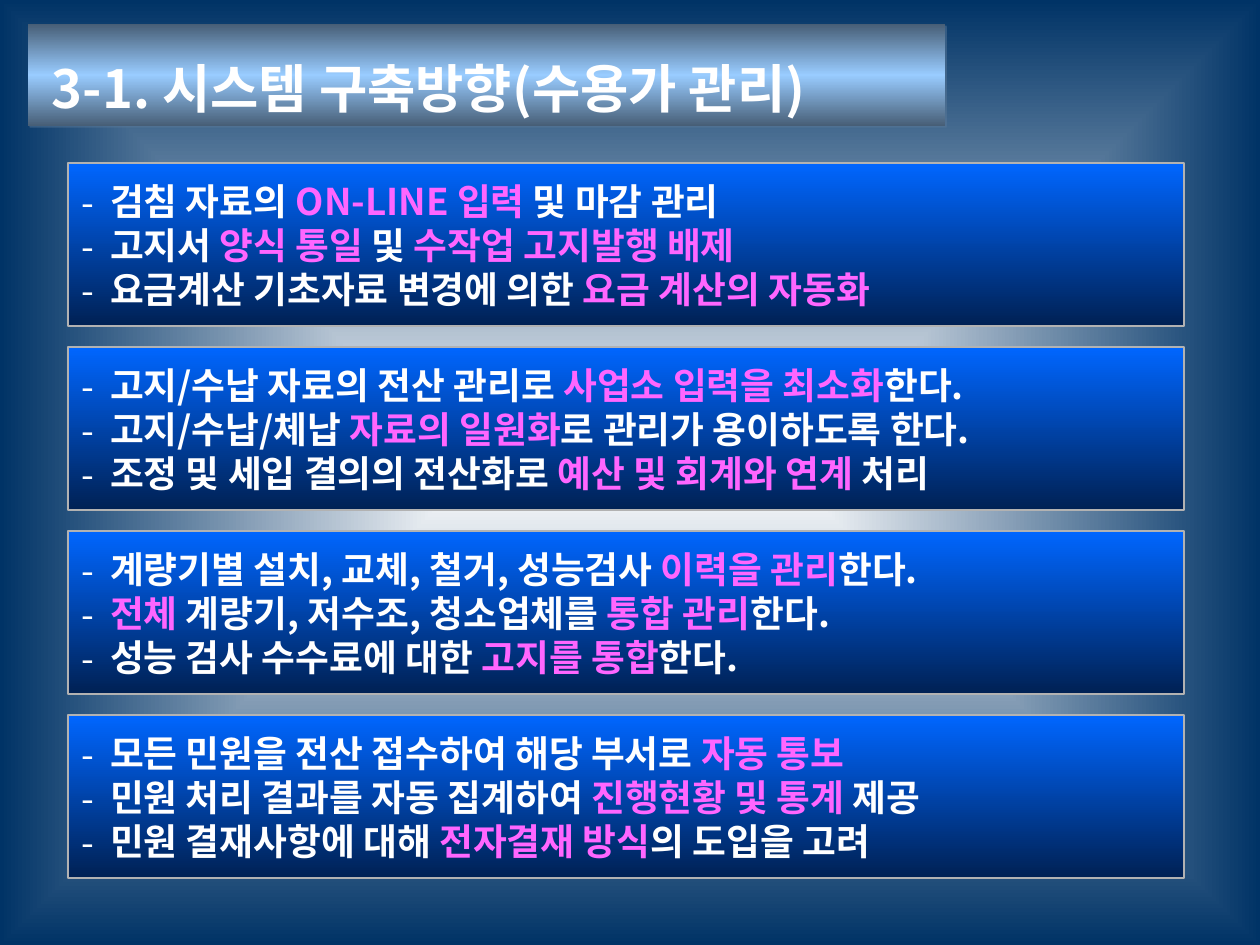
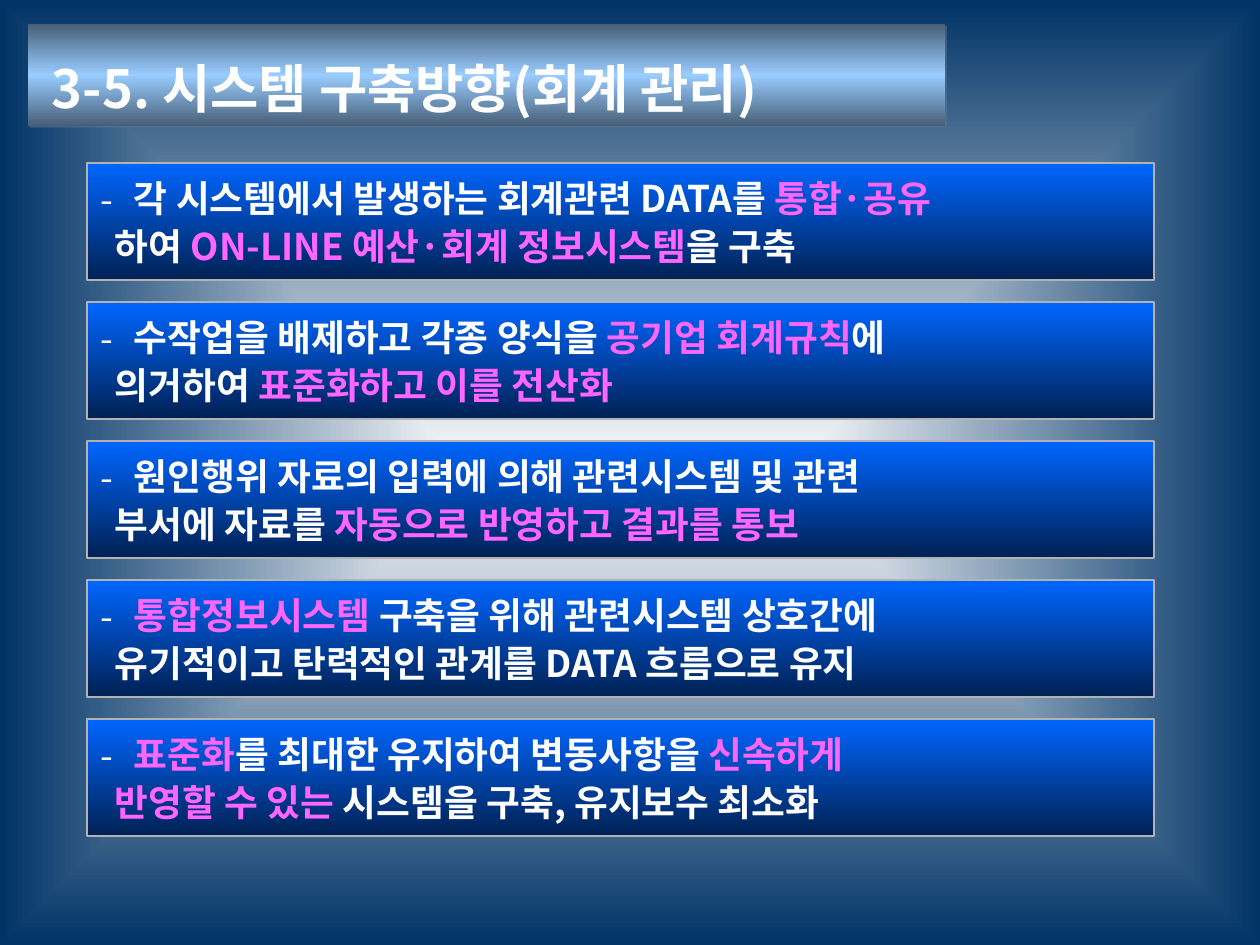
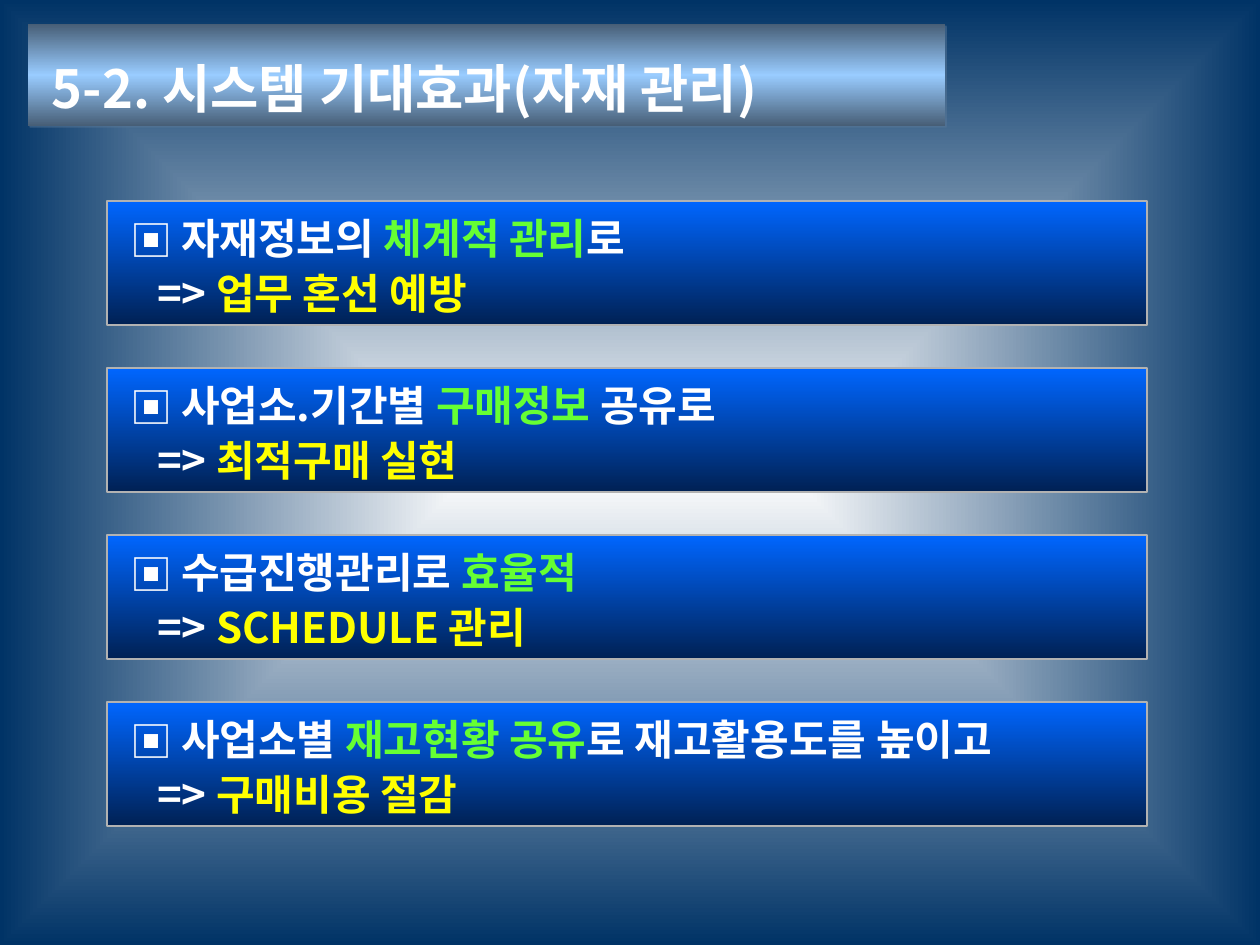
from dataclasses import dataclass

from pptx import Presentation
from pptx.dml.color import RGBColor
from pptx.enum.shapes import MSO_SHAPE
from pptx.enum.text import MSO_ANCHOR, MSO_AUTO_SIZE, PP_ALIGN
from pptx.oxml import parse_xml
from pptx.oxml.ns import nsdecls, qn
from pptx.util import Pt

PX = 7257


@dataclass(frozen=True)
class Theme:
    font: str = "Noto Sans CJK KR"
    white: str = "FFFFFF"
    pink: str = "FF66FF"
    green: str = "66FF33"
    yellow: str = "FFFF00"
    border: str = "B2B2B2"
    shadow: str = "5B7998"
    page_stops: tuple = ((0, "FFFFFF"), (100, "003366"))
    title_stops: tuple = ((0, "475E76"), (50, "99CCFF"), (100, "475E76"))
    box_stops: tuple = ((0, "0066FF"), (100, "002154"))
    title_size: int = 30
    direction_size: int = 21
    effect_size: int = 24


THEME = Theme()
DOWNWARD = '<a:lin ang="5400000" scaled="0"/>'
FROM_CENTRE = (
    '<a:path path="rect">'
    '<a:fillToRect l="50000" t="50000" r="50000" b="50000"/></a:path>'
)

DASH_LINE = {"bullet": "-", "margin": 29, "indent": -29, "spacing": 1.0, "accent": THEME.pink}
DASH_OPENING = {"bullet": "-", "margin": 34, "indent": -34, "spacing": 1.0, "accent": THEME.pink}
DASH_CLOSING = {"bullet": "", "margin": 15, "indent": 0, "spacing": 1.1, "accent": THEME.pink}
EFFECT_CAUSE = {"bullet": "▣", "margin": 61, "indent": -51, "spacing": 1.1, "accent": THEME.green}
EFFECT_RESULT = {"bullet": "", "margin": 37, "indent": 0, "spacing": 1.1, "accent": THEME.yellow}

PAGES = [
    {
        "title": "3-1. 시스템 구축방향(수용가 관리)",
        "frame": (68, 163, 1116, 163),
        "pitch": 184,
        "size": THEME.direction_size,
        "styles": [DASH_LINE, DASH_LINE, DASH_LINE],
        "boxes": [
            [
                "검침 자료의 *ON-LINE 입력* 및 마감 관리",
                "고지서 *양식 통일* 및 *수작업 고지발행 배제*",
                "요금계산 기초자료 변경에 의한 *요금 계산의 자동화*",
            ],
            [
                "고지/수납 자료의 전산 관리로 *사업소 입력을 최소화*한다.",
                "고지/수납/체납 *자료의 일원화*로 관리가 용이하도록 한다.",
                "조정 및 세입 결의의 전산화로 *예산 및 회계와 연계* 처리",
            ],
            [
                "계량기별 설치, 교체, 철거, 성능검사 *이력을 관리*한다.",
                "*전체* 계량기, 저수조, 청소업체를 *통합 관리*한다.",
                "성능 검사 수수료에 대한 *고지를 통합*한다.",
            ],
            [
                "모든 민원을 전산 접수하여 해당 부서로 *자동 통보*",
                "민원 처리 결과를 자동 집계하여 *진행현황 및 통계* 제공",
                "민원 결재사항에 대해 *전자결재 방식*의 도입을 고려",
            ],
        ],
    },
    {
        "title": "3-5. 시스템 구축방향(회계 관리)",
        "frame": (87, 163, 1067, 117),
        "pitch": 139,
        "size": THEME.direction_size,
        "styles": [DASH_OPENING, DASH_CLOSING],
        "boxes": [
            [
                "각 시스템에서 발생하는 회계관련 DATA를 *통합·공유*",
                "하여 *ON-LINE 예산·회계 정보시스템*을 구축",
            ],
            [
                "수작업을 배제하고 각종 양식을 *공기업 회계규칙*에",
                "의거하여 *표준화하고 이를 전산화*",
            ],
            [
                "원인행위 자료의 입력에 의해 관련시스템 및 관련",
                "부서에 자료를 *자동으로 반영하고 결과를 통보*",
            ],
            [
                "*통합정보시스템* 구축을 위해 관련시스템 상호간에",
                "유기적이고 탄력적인 관계를 DATA 흐름으로 유지",
            ],
            [
                "*표준화*를 최대한 유지하여 변동사항을 *신속하게*",
                "*반영할 수 있는* 시스템을 구축, 유지보수 최소화",
            ],
        ],
    },
    {
        "title": "5-2. 시스템 기대효과(자재 관리)",
        "frame": (107, 201, 1040, 124),
        "pitch": 167,
        "size": THEME.effect_size,
        "styles": [EFFECT_CAUSE, EFFECT_RESULT],
        "boxes": [
            ["자재정보의 *체계적 관리*로", "=> *업무 혼선 예방*"],
            ["사업소.기간별 *구매정보* 공유로", "=> *최적구매 실현*"],
            ["수급진행관리로 *효율적*", "=> *SCHEDULE 관리*"],
            ["사업소별 *재고현황 공유*로 재고활용도를 높이고", "=> *구매비용 절감*"],
        ],
    },
]

TITLE_FRAME = {"left": 28 * PX, "top": 24 * PX, "width": 917 * PX, "height": 102 * PX}
TITLE_TEXT = {
    "word_wrap": True,
    "auto_size": MSO_AUTO_SIZE.NONE,
    "vertical_anchor": MSO_ANCHOR.MIDDLE,
    "margin_left": 24 * PX,
    "margin_top": 19 * PX,
    "margin_bottom": 6 * PX,
}
BOX_TEXT = {
    "word_wrap": True,
    "vertical_anchor": MSO_ANCHOR.MIDDLE,
    "margin_left": 13 * PX,
    "margin_right": 13 * PX,
    "margin_top": 6 * PX,
    "margin_bottom": 6 * PX,
}


def paint_gradient(fill, owner, stops, direction):
    fill.gradient()
    gradient = owner.find(".//" + qn("a:gradFill"))
    stop_xml = "".join(
        f'<a:gs pos="{place * 1000}"><a:srgbClr val="{colour}"/></a:gs>'
        for place, colour in stops
    )
    painted = parse_xml(
        f'<a:gradFill {nsdecls("a")} rotWithShape="1">'
        f"<a:gsLst>{stop_xml}</a:gsLst>{direction}</a:gradFill>"
    )
    gradient.getparent().replace(gradient, painted)


def add_span(para, text, size, colour):
    span = para.add_run()
    span.text = text
    for name, value in {"name": THEME.font, "size": Pt(size), "bold": True}.items():
        setattr(span.font, name, value)
    span.font.color.rgb = RGBColor.from_string(colour)
    span.font._element.append(
        parse_xml(f'<a:ea {nsdecls("a")} typeface="{THEME.font}"/>')
    )


deck = Presentation()
deck.slide_width = 1260 * PX
deck.slide_height = 945 * PX
master = deck.slide_master
paint_gradient(master.background.fill, master.element, THEME.page_stops, FROM_CENTRE)

for content in PAGES:
    page = deck.slides.add_slide(deck.slide_layouts[5])

    title = page.shapes.title
    for name, value in TITLE_FRAME.items():
        setattr(title, name, value)
    for name, value in TITLE_TEXT.items():
        setattr(title.text_frame, name, value)
    paint_gradient(title.fill, title.element, THEME.title_stops, DOWNWARD)
    title.shadow.inherit = False
    title.element.spPr.find(qn("a:effectLst")).append(
        parse_xml(
            f'<a:outerShdw {nsdecls("a")} dist="17780" dir="2700000">'
            f'<a:srgbClr val="{THEME.shadow}"><a:alpha val="50000"/></a:srgbClr>'
            "</a:outerShdw>"
        )
    )
    para = title.text_frame.paragraphs[0]
    para.alignment = PP_ALIGN.LEFT
    para.line_spacing = 1.2
    add_span(para, content["title"], THEME.title_size, THEME.white)

    left, top, width, height = content["frame"]
    for row, lines in enumerate(content["boxes"]):
        box_top = top + row * content["pitch"]
        box = page.shapes.add_shape(
            MSO_SHAPE.RECTANGLE, left * PX, box_top * PX, width * PX, height * PX
        )
        paint_gradient(box.fill, box.element, THEME.box_stops, DOWNWARD)
        box.line.color.rgb = RGBColor.from_string(THEME.border)
        box.line.width = Pt(0.75)
        box.shadow.inherit = False
        for name, value in BOX_TEXT.items():
            setattr(box.text_frame, name, value)

        for index, (line, style) in enumerate(zip(lines, content["styles"])):
            para = box.text_frame.add_paragraph() if index else box.text_frame.paragraphs[0]
            para.alignment = PP_ALIGN.LEFT
            para.line_spacing = style["spacing"]
            properties = para._p.get_or_add_pPr()
            properties.set("marL", str(style["margin"] * PX))
            properties.set("indent", str(style["indent"] * PX))
            if style["bullet"]:
                for bullet_xml in (
                    f'<a:buClr {nsdecls("a")}><a:srgbClr val="{THEME.white}"/></a:buClr>',
                    f'<a:buFont {nsdecls("a")} typeface="{THEME.font}"/>',
                    f'<a:buChar {nsdecls("a")} char="{style["bullet"]}"/>',
                ):
                    properties.append(parse_xml(bullet_xml))
            for part, text in enumerate(line.split("*")):
                if text:
                    colour = style["accent"] if part % 2 else THEME.white
                    add_span(para, text, content["size"], colour)

deck.save("out.pptx")
